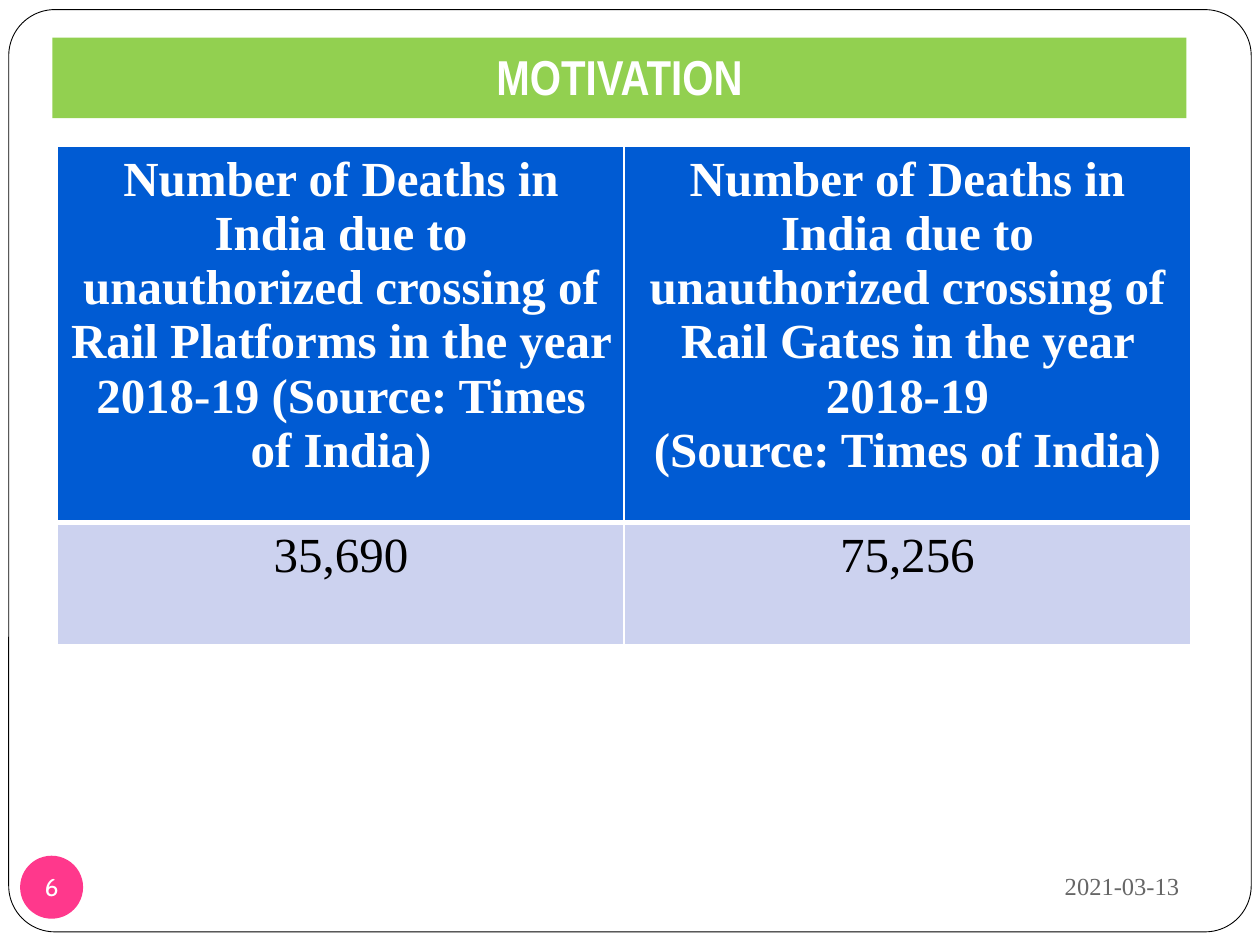
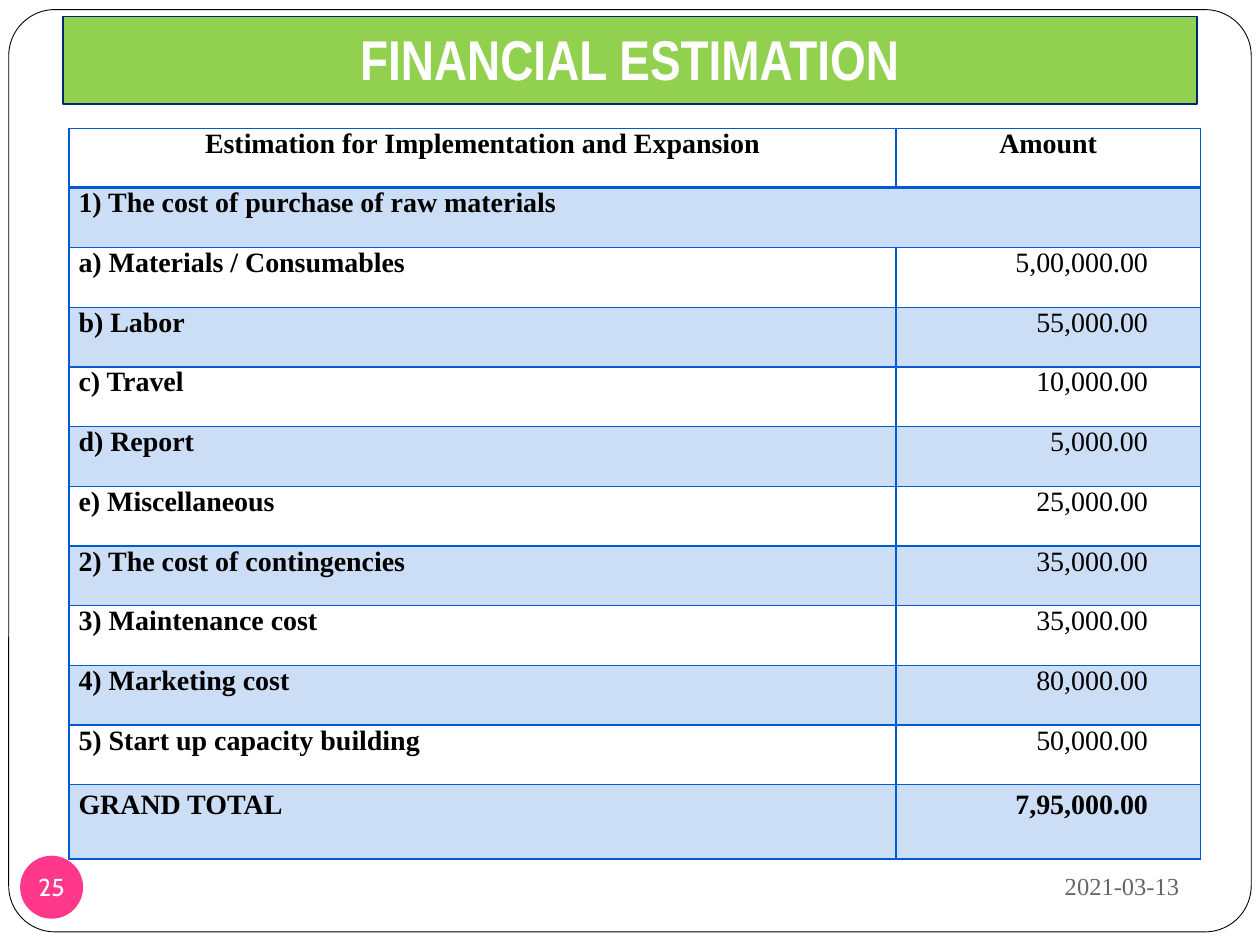
import pptx
import pptx.util
import pptx.dml.color
import pptx.enum.shapes
import pptx.enum.text
import pptx.oxml
import pptx.oxml.ns
from lxml import etree

Pt = pptx.util.Pt
ALIGN = pptx.enum.text.PP_ALIGN
ANCHOR = pptx.enum.text.MSO_ANCHOR
SHAPE = pptx.enum.shapes.MSO_SHAPE

# Content
DATE = "2021-03-13"
DEATHS = [
    [["Number of Deaths in India due to unauthorized crossing of Rail Platforms"
      " in the year 2018-19 (Source: Times of India)"],
     ["Number of Deaths in India due to unauthorized crossing of Rail Gates"
      " in the year 2018-19", "(Source: Times of India)"]],
    [["35,690"], ["75,256"]],
]
COSTS = [
    ("Estimation for Implementation and Expansion", "Amount"),
    ("1) The cost of purchase of raw materials", None),
    ("a) Materials / Consumables", "5,00,000.00"),
    ("b) Labor", "55,000.00"),
    ("c) Travel", "10,000.00"),
    ("d) Report", "5,000.00"),
    ("e) Miscellaneous", "25,000.00"),
    ("2) The cost of contingencies", "35,000.00"),
    ("3) Maintenance cost", "35,000.00"),
    ("4) Marketing cost", "80,000.00"),
    ("5) Start up capacity building", "50,000.00"),
    ("GRAND TOTAL", "7,95,000.00"),
]

# Shared style
HEX = {"white": "FFFFFF", "black": "000000", "green": "92D050", "navy": "002776",
       "pink": "FF388C", "grey": "666666", "blue": "005BD3", "pale": "CCD2EF"}
SERIF, NARROW, ROUND = "Times New Roman", "Arial Narrow", "Cabin"


def color(name):
    return pptx.dml.color.RGBColor.from_string(HEX[name])


def paint(shape, fill, line=None, width=0.75):
    shape.fill.solid()
    shape.fill.fore_color.rgb = color(fill)
    if line:
        shape.line.color.rgb = color(line)
        shape.line.width = Pt(width)
    else:
        shape.line.fill.background()


def write(frame, lines, size, font, hue, align, bold=False, space=None):
    for i, line in enumerate(lines):
        para = frame.add_paragraph() if i else frame.paragraphs[0]
        para.alignment = align
        if space:
            para.line_spacing = space
        run = para.add_run()
        run.text = line
        run.font.size, run.font.name, run.font.bold = Pt(size), font, bold
        run.font.color.rgb = color(hue)


def inset(item, left, top, right, bottom):
    item.margin_left, item.margin_top = Pt(left), Pt(top)
    item.margin_right, item.margin_bottom = Pt(right), Pt(bottom)


def new_slide(deck, title, number, box, size, line=None):
    slide = deck.slides.add_slide(deck.slide_layouts[5])
    shapes = slide.shapes

    # Page frame, behind everything
    page = shapes.add_shape(SHAPE.ROUNDED_RECTANGLE, Pt(5), Pt(5.5), Pt(710), Pt(527))
    page.adjustments[0] = 0.05
    page.shadow.inherit = False
    paint(page, "white", "black", 0.5)
    page.element.getparent().insert(2, page.element)

    # Title band
    band = shapes.title
    band.left, band.top, band.width, band.height = map(Pt, box)
    paint(band, "green", line)
    frame = band.text_frame
    frame.auto_size = pptx.enum.text.MSO_AUTO_SIZE.NONE
    frame.vertical_anchor = ANCHOR.BOTTOM
    inset(frame, 7.2, 3.6, 7.2, 7.2)
    write(frame, [title], size, NARROW, "white", ALIGN.CENTER, True)

    # Date and page number
    frame = shapes.add_textbox(Pt(486), Pt(487.5), Pt(195), Pt(37.5)).text_frame
    frame.word_wrap = True
    frame.vertical_anchor = ANCHOR.MIDDLE
    write(frame, [DATE], 14, SERIF, "grey", ALIGN.RIGHT)
    disc = shapes.add_shape(SHAPE.OVAL, Pt(11.5), Pt(489), Pt(36), Pt(36))
    disc.shadow.inherit = False
    paint(disc, "pink")
    frame = disc.text_frame
    frame.word_wrap = False
    frame.vertical_anchor = ANCHOR.MIDDLE
    inset(frame, 0, 0, 0, 0)
    write(frame, [str(number)], 14, ROUND, "white", ALIGN.CENTER)
    return slide


def new_table(slide, left, top, cols, rows):
    table = slide.shapes.add_table(len(rows), len(cols), Pt(left), Pt(top),
                                   Pt(sum(cols)), Pt(sum(rows))).table
    table.first_row = table.horz_banding = False
    for col, width in zip(table.columns, cols):
        col.width = Pt(width)
    for row, height in zip(table.rows, rows):
        row.height = Pt(height)
    return table


def style(cell, hue, widths, fill=None, alpha=None):
    """Border widths run left, right, top, bottom."""
    props = cell._tc.get_or_add_tcPr()
    for side, width in zip("LRTB", widths):
        props.append(pptx.oxml.parse_xml(
            f'<a:ln{side} {pptx.oxml.ns.nsdecls("a")} w="{Pt(width)}"><a:solidFill>'
            f'<a:srgbClr val="{HEX[hue]}"/></a:solidFill></a:ln{side}>'))
    if not fill:
        cell.fill.background()
        return
    cell.fill.solid()
    cell.fill.fore_color.rgb = color(fill)
    if alpha:
        tint = props.find(pptx.oxml.ns.qn("a:solidFill"))[0]
        etree.SubElement(tint, pptx.oxml.ns.qn("a:alpha"), val=str(alpha * 1000))


def motive(deck):
    slide = new_slide(deck, "MOTIVATION", 6, (30, 21.5, 648, 46), 28)
    table = new_table(slide, 33, 83.5, [323.7] * 2, [215, 70])
    for r, row in enumerate(DEATHS):
        head = r == 0
        for c, lines in enumerate(row):
            cell = table.cell(r, c)
            style(cell, "white", (1, 1, 1, 3) if head else (1, 1, 3, 1),
                  "blue" if head else "pale")
            write(cell.text_frame, lines, 28, SERIF, "white" if head else "black",
                  ALIGN.CENTER, head)


def finance(deck):
    slide = new_slide(deck, "FINANCIAL ESTIMATION", 25, (36, 9.5, 648, 50), 32, "navy")
    last = len(COSTS) - 1
    table = new_table(slide, 39.5, 73.3, [472.5, 174], [34.12] * last + [42.5])
    for r, row in enumerate(COSTS):
        head, total = r == 0, r == last
        for c, text in enumerate(row):
            cell = table.cell(r, c)
            style(cell, "blue", (1, 1, 2 if r == 1 else 1, 2 if head else 1),
                  "blue" if r % 2 else None, 20)
            inset(cell, 5.4, 0, 30 if c and not head else 5.4, 0)
            if text:
                align = ALIGN.CENTER if head else (ALIGN.LEFT, ALIGN.RIGHT)[c]
                write(cell.text_frame, [text], 16, SERIF, "black", align,
                      head or total or c == 0, 1.15 if total else None)
        if row[1] is None:
            table.cell(r, 0).merge(table.cell(r, 1))


def main():
    deck = pptx.Presentation()
    deck.slide_width, deck.slide_height = Pt(720), Pt(540)
    motive(deck)
    finance(deck)
    deck.save("out.pptx")


if __name__ == "__main__":
    main()
